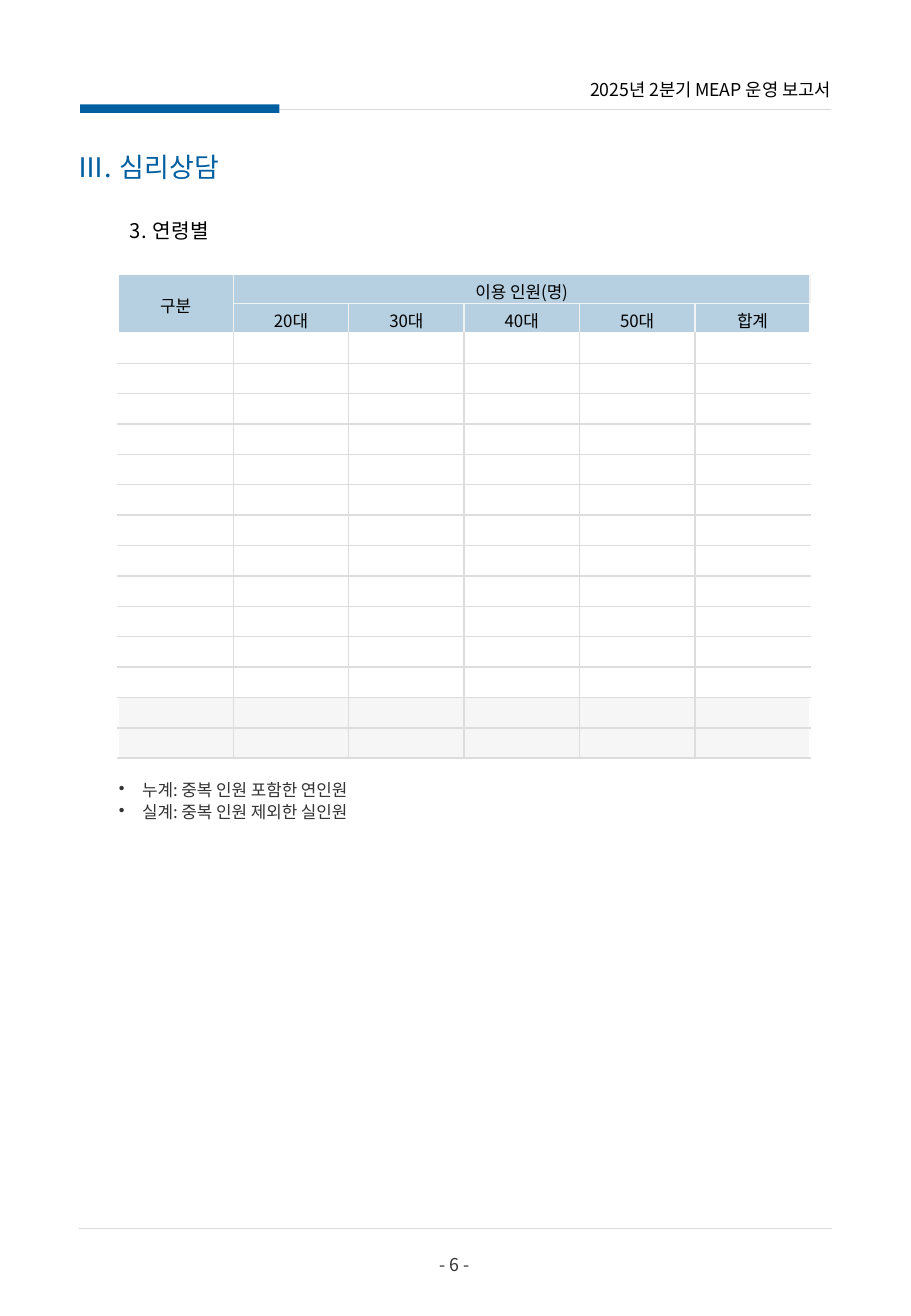
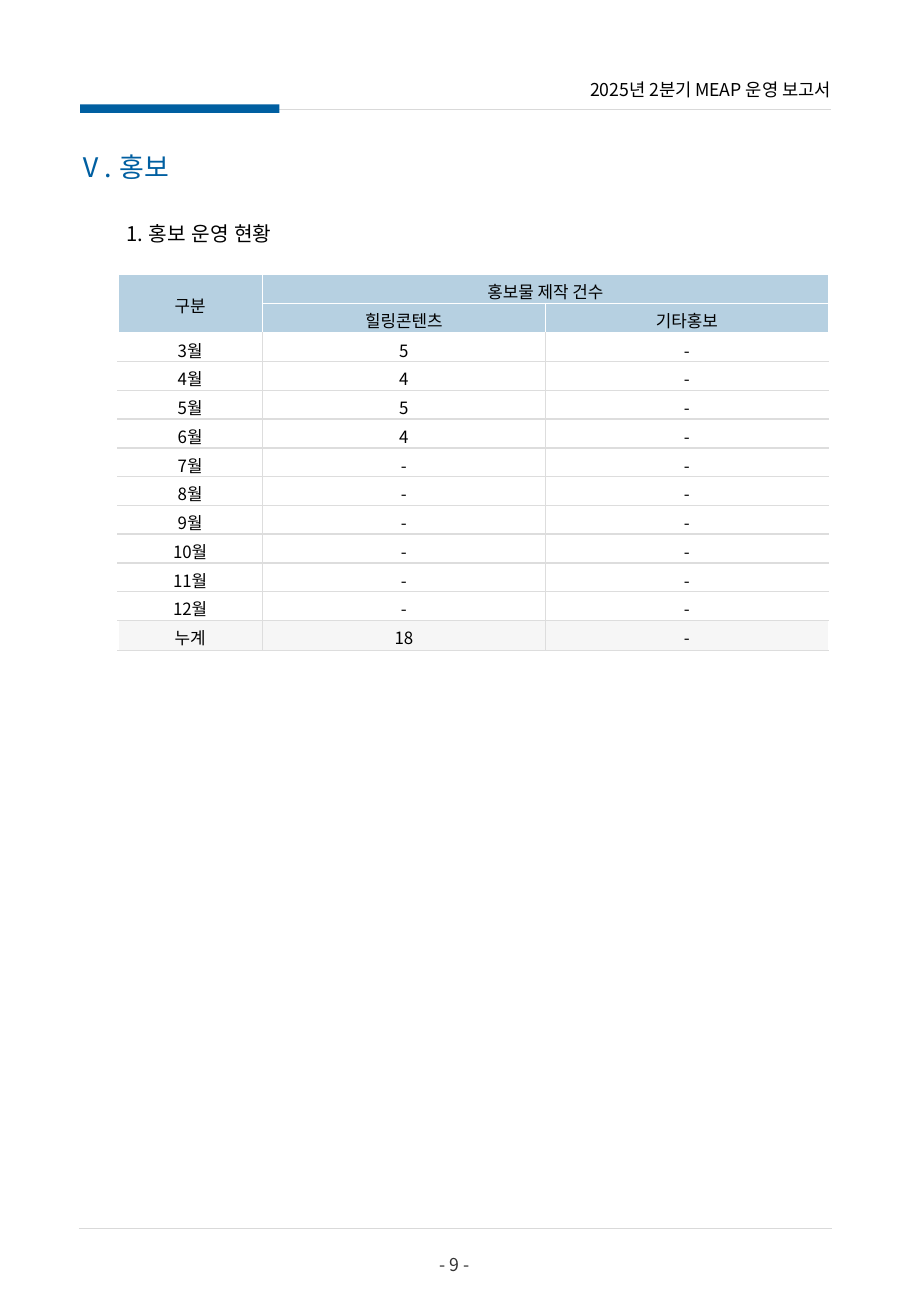
from lxml.etree import SubElement
from pptx import Presentation
from pptx.dml.color import RGBColor
from pptx.enum.shapes import MSO_CONNECTOR, MSO_SHAPE
from pptx.enum.text import MSO_ANCHOR, MSO_AUTO_SIZE, PP_ALIGN
from pptx.oxml.ns import qn
from pptx.util import Inches, Pt

FONT = "Noto Sans CJK KR"
BLUE = RGBColor(0x00, 0x5F, 0xA1)
PALE_BLUE = RGBColor(0xB6, 0xD0, 0xE1)
BLACK = RGBColor(0x00, 0x00, 0x00)
DARK = RGBColor(0x33, 0x33, 0x33)
RULE = RGBColor(0xD9, 0xD9, 0xD9)
GRID = RGBColor(0xDD, 0xDD, 0xDD)
TOTAL = RGBColor(0xF6, 0xF6, 0xF6)
OFF_WHITE = RGBColor(0xF2, 0xF2, 0xF2)
WHITE = RGBColor(0xFF, 0xFF, 0xFF)

REPORT = "2025년 2분기 MEAP 운영 보고서"
HEADER_ROWS = 2
HEADER_H = 0.24
TOTAL_H = 0.25


class Report:
    def __init__(self):
        self.prs = Presentation()
        self.prs.slide_width = Inches(7.5)
        self.prs.slide_height = Inches(10.83)
        self.s = None

    def page(self, title, number):
        """Start a slide with the title, header band and footer all pages share."""
        self.s = self.prs.slides.add_slide(self.prs.slide_layouts[5])
        self.title(title)
        band = self.s.shapes.add_group_shape().shapes
        self.line(band, 2.13, 6.84, 0.9)
        self.bar(band, 0.66, 0.86, 1.64, 0.07)
        self.line(self.s.shapes, 0.65, 6.85, 10.11)
        self.text([f"- {number} -"], 3.54, 10.29, 0.41, 0.2, 10.5, DARK,
                  PP_ALIGN.CENTER, top=0.03)
        self.text([REPORT], 4.8, 0.64, 2.04, 0.19, 10.5, BLACK, PP_ALIGN.RIGHT)

    def style(self, p, size, color, align=PP_ALIGN.LEFT, spacing=0):
        """Format a paragraph, with its East Asian font and letter spacing."""
        p.alignment = align
        p.font.size = Pt(size)
        p.font.name = FONT
        p.font.color.rgb = color
        props = p._p.pPr.find(qn("a:defRPr"))
        props.set("spc", str(round(spacing * 100)))
        SubElement(props, qn("a:ea"), typeface=FONT)

    def title(self, text):
        sp = self.s.shapes.title
        sp.left, sp.top = Inches(0.54), Inches(1.19)
        sp.width, sp.height = Inches(2.34), Inches(0.37)
        tf = sp.text_frame
        tf.text = text
        tf.auto_size = MSO_AUTO_SIZE.NONE
        tf.vertical_anchor = MSO_ANCHOR.TOP
        self.style(tf.paragraphs[0], 16, BLUE, spacing=0.2)

    def line(self, shapes, x1, x2, y):
        cxn = shapes.add_connector(MSO_CONNECTOR.STRAIGHT, Inches(x1), Inches(y),
                                   Inches(x2), Inches(y))
        cxn.line.color.rgb = RULE
        cxn.line.width = Pt(0.75)
        SubElement(cxn._element.spPr, qn("a:effectLst"))

    def bar(self, shapes, x, y, w, h):
        sp = shapes.add_shape(MSO_SHAPE.RECTANGLE, Inches(x), Inches(y),
                              Inches(w), Inches(h))
        sp.shadow.inherit = False
        sp.fill.solid()
        sp.fill.fore_color.rgb = BLUE
        sp.line.fill.background()

    def text(self, lines, x, y, w, h, size, color, align=PP_ALIGN.LEFT,
             top=0.01, spacing=0):
        tf = self.s.shapes.add_textbox(Inches(x), Inches(y), Inches(w),
                                       Inches(h)).text_frame
        tf.word_wrap = True
        tf.margin_left = tf.margin_right = tf.margin_bottom = 0
        tf.margin_top = Inches(top)
        tf.text = "\n".join(lines)
        for p in tf.paragraphs:
            self.style(p, size, color, align, spacing)
        return tf

    def subheading(self, text, x, y):
        self.text([text], x, y, 2.34, 0.29, 12, BLACK, top=0.08, spacing=0.2)

    def bullets(self, lines, x, y, w, h):
        for p in self.text(lines, x, y, w, h, 10, DARK).paragraphs:
            p.space_before = Pt(1)
            props = p._p.pPr
            props.set("marL", str(Inches(0.2)))
            props.set("indent", str(Inches(-0.19)))
            bullet = SubElement(props, qn("a:buChar"), char="•")
            props.find(qn("a:defRPr")).addprevious(bullet)

    def border(self, cell, side, color):
        ln = SubElement(cell._tc.get_or_add_tcPr(), qn(f"a:ln{side}"), w=str(Pt(1)))
        fill = SubElement(ln, qn("a:solidFill"))
        SubElement(fill, qn("a:srgbClr"), val=str(color))

    def cell(self, cell, text, fill, borders):
        for side, color in borders.items():
            self.border(cell, side, color)
        if fill is None:
            cell.fill.background()
        else:
            cell.fill.solid()
            cell.fill.fore_color.rgb = fill
        cell.vertical_anchor = MSO_ANCHOR.MIDDLE
        cell.margin_left = cell.margin_right = cell.margin_top = Inches(0.04)
        cell.margin_bottom = Inches(0.02)
        cell.text = text
        p = cell.text_frame.paragraphs[0]
        self.style(p, 10, BLACK, PP_ALIGN.CENTER)
        if not text:
            SubElement(p._p, qn("a:endParaRPr"), sz="1000")

    def table(self, heading, columns, body, widths, height, totals, header_line):
        """Draw a two-row header over body; the last `totals` rows are shaded."""
        blanks = [""] * (len(columns) - 1)
        rows = [["구분", heading, *blanks], ["", *columns], *body]
        n_rows, n_cols = len(rows), len(widths)
        first_total = n_rows - totals
        tbl = self.s.shapes.add_table(n_rows, n_cols, Inches(0.97), Inches(2.26),
                                      Inches(sum(widths)), Inches(height)).table
        tbl.first_row = tbl.horz_banding = False
        for col, w in zip(tbl.columns, widths):
            col.width = Inches(w)
        body_h = ((height - HEADER_ROWS * HEADER_H - totals * TOTAL_H)
                  / (first_total - HEADER_ROWS))
        for i, values in enumerate(rows):
            if i < HEADER_ROWS:
                h, fill, inner = HEADER_H, PALE_BLUE, header_line
            elif i < first_total:
                h, fill, inner = body_h, None, GRID
            else:
                h, fill, inner = TOTAL_H, TOTAL, GRID
            tbl.rows[i].height = Inches(h)
            for j, value in enumerate(values):
                borders = {}
                if j > 0:
                    borders["L"] = inner
                if j < n_cols - 1:
                    borders["R"] = inner
                borders["T"] = WHITE if i in (0, HEADER_ROWS) else inner
                borders["B"] = WHITE if i == HEADER_ROWS - 1 else inner
                self.cell(tbl.cell(i, j), value, fill, borders)
        tbl.cell(0, 0).merge(tbl.cell(1, 0))
        tbl.cell(0, 1).merge(tbl.cell(0, n_cols - 1))


def main():
    report = Report()

    report.page("Ⅲ. 심리상담", 6)
    report.subheading("3. 연령별", 1.07, 1.72)
    ages = ["20대", "30대", "40대", "50대", "합계"]
    report.table("이용 인원(명)", ages, [[""] * 6] * 14, [0.95] * 6, 3.98,
                 totals=2, header_line=OFF_WHITE)
    report.bullets(["누계: 중복 인원 포함한 연인원", "실계: 중복 인원 제외한 실인원"],
                   0.97, 6.41, 3.94, 0.36)

    report.page("Ⅴ. 홍보", 9)
    report.subheading("1. 홍보 운영 현황", 1.04, 1.74)
    contents = ["5", "4", "5", "4"] + ["-"] * 6
    months = [[f"{m}월", n, "-"] for m, n in enumerate(contents, start=3)]
    report.table("홍보물 제작 건수", ["힐링콘텐츠", "기타홍보"],
                 months + [["누계", "18", "-"]], [1.19, 2.33, 2.33], 3.1,
                 totals=1, header_line=WHITE)

    report.prs.save("out.pptx")


if __name__ == "__main__":
    main()
